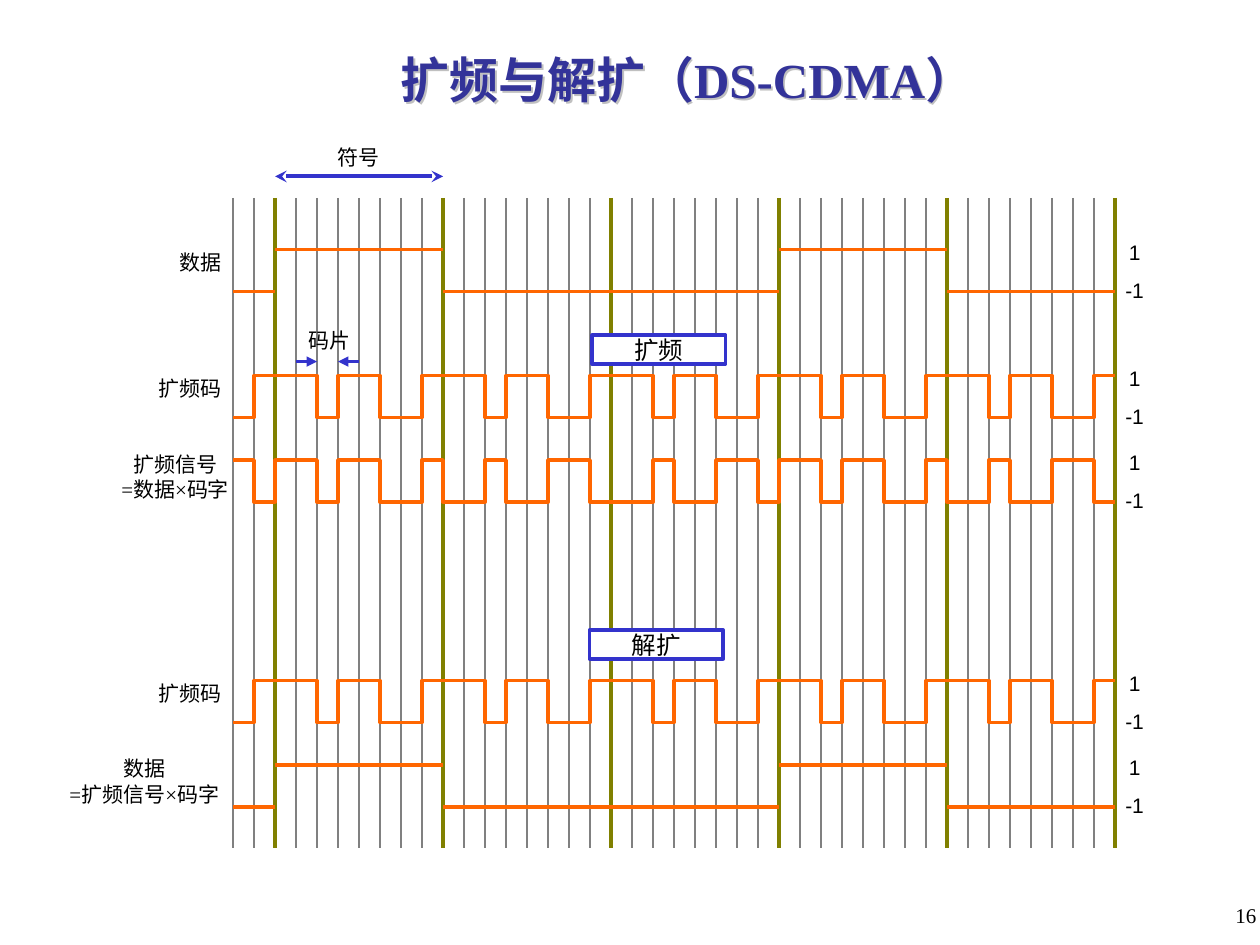
from dataclasses import dataclass
from itertools import groupby

import pptx
import pptx.dml.color
import pptx.enum.shapes
import pptx.enum.text
import pptx.oxml
import pptx.oxml.ns
import pptx.util
from pptx.util import Inches


@dataclass(frozen=True)
class Theme:
    title: str = "333399"
    title_shadow: str = "C0C0C0"
    accent: str = "3333CC"
    wave: str = "FF6600"
    chip_line: str = "808080"
    symbol_line: str = "808000"
    ink: str = "000000"
    paper: str = "FFFFFF"
    serif: str = "Times New Roman"
    sans: str = "Arial"
    title_size: float = 28
    box_size: float = 14
    label_size: float = 12


THEME = Theme()

# Time grid: eight chips per symbol, starting two chips before a boundary
LEFT, TOP, BOTTOM = 1.85, 1.57, 6.73
CHIP = 1 / 6
SWING = 1 / 3
LEAD = 2
CODE = [1, 1, -1, 1, 1, -1, -1, 1]
SYMBOLS = [-1, 1, -1, -1, 1, -1]

DATA_CHIPS = [bit for bit in SYMBOLS for _ in CODE][len(CODE) - LEAD:]
CODE_CHIPS = (CODE * len(SYMBOLS))[len(CODE) - LEAD:]
SPREAD_CHIPS = [bit * chip for bit, chip in zip(DATA_CHIPS, CODE_CHIPS)]

# Signal rows: high level, chips, edges drawn, caption lines, caption box
ROWS = [
    (1.98, DATA_CHIPS, False, ["数据"], (1.41, 1.98, 0.37, 0.2)),
    (2.98, CODE_CHIPS, True, ["扩频码"], (1.24, 2.98, 0.54, 0.2)),
    (3.65, SPREAD_CHIPS, True, ["扩频信号", "=数据×码字"], (0.88, 3.58, 1.02, 0.4)),
    (5.4, CODE_CHIPS, True, ["扩频码"], (1.24, 5.4, 0.54, 0.2)),
    (6.07, DATA_CHIPS, False, ["数据", "=扩频信号×码字"], (0.47, 6, 1.35, 0.4)),
]


def rgb(value):
    return pptx.dml.color.RGBColor.from_string(value)


def chip_x(index):
    return LEFT + index * CHIP


def drawing_element(tag, attributes="", content=""):
    return pptx.oxml.parse_xml(
        f'<{tag} {pptx.oxml.ns.nsdecls("a")} {attributes}>{content}</{tag}>')


def style_paragraph(para, size, color=THEME.ink, font=THEME.serif,
                    align=pptx.enum.text.PP_ALIGN.CENTER, bold=False):
    para.alignment = align
    para.font.size = pptx.util.Pt(size)
    para.font.name = font
    para.font.bold = bold
    para.font.color.rgb = rgb(color)


def add_line(slide, start, end, color, width, head=None, tail=None):
    line = slide.shapes.add_connector(
        pptx.enum.shapes.MSO_CONNECTOR.STRAIGHT,
        *(Inches(value) for value in (*start, *end)))
    line.line.color.rgb = rgb(color)
    line.line.width = pptx.util.Pt(width)
    outline = line._element.spPr.find(pptx.oxml.ns.qn("a:ln"))
    for tag, arrow in (("a:headEnd", head), ("a:tailEnd", tail)):
        if arrow:
            outline.append(drawing_element(tag, f'type="{arrow}"'))
    line._element.spPr.append(drawing_element("a:effectLst"))


def add_label(slide, place, lines, font=THEME.serif):
    box = slide.shapes.add_textbox(*(Inches(value) for value in place))
    frame = box.text_frame
    frame.margin_left = frame.margin_right = 0
    frame.margin_top = frame.margin_bottom = 0
    frame.word_wrap = False
    frame.auto_size = pptx.enum.text.MSO_AUTO_SIZE.SHAPE_TO_FIT_TEXT
    frame.vertical_anchor = pptx.enum.text.MSO_ANCHOR.MIDDLE
    frame.text = "\n".join(lines)
    for para in frame.paragraphs:
        style_paragraph(para, THEME.label_size, font=font)


def add_stage_box(slide, left, top, text):
    box = slide.shapes.add_shape(
        pptx.enum.shapes.MSO_SHAPE.RECTANGLE,
        Inches(left), Inches(top), Inches(1.06), Inches(0.23))
    box.shadow.inherit = False
    box.fill.solid()
    box.fill.fore_color.rgb = rgb(THEME.paper)
    box.line.color.rgb = rgb(THEME.accent)
    box.line.width = pptx.util.Pt(2)
    frame = box.text_frame
    frame.margin_top = frame.margin_bottom = 0
    frame.vertical_anchor = pptx.enum.text.MSO_ANCHOR.MIDDLE
    frame.text = text
    style_paragraph(frame.paragraphs[0], THEME.box_size)


def level_runs(top, chips):
    """Yield start x, end x and y for each stretch of equal chips."""
    position = 0
    for level, group in groupby(chips):
        end = position + len(list(group))
        yield chip_x(position), chip_x(end), top if level > 0 else top + SWING
        position = end


def add_levels(slide, top, chips):
    for start, end, y in level_runs(top, chips):
        add_line(slide, (start, y), (end, y), THEME.wave, 2)


def add_square_wave(slide, top, chips):
    points = [(Inches(x), Inches(y)) for start, end, y in level_runs(top, chips)
              for x in (start, end)]
    builder = slide.shapes.build_freeform(*points[0])
    builder.add_line_segments(points[1:], close=False)
    wave = builder.convert_to_shape()
    wave.shadow.inherit = False
    wave.fill.background()
    wave.line.color.rgb = rgb(THEME.wave)
    wave.line.width = pptx.util.Pt(2)


def add_title(slide, text):
    title = slide.shapes.title
    title.left, title.top = Inches(1.58), Inches(0.25)
    title.width, title.height = Inches(7.75), Inches(0.75)
    title.text_frame.vertical_anchor = pptx.enum.text.MSO_ANCHOR.MIDDLE
    title.text_frame.text = text
    style_paragraph(title.text_frame.paragraphs[0], THEME.title_size,
                    THEME.title, bold=True)
    # Without a fill, the shadow falls from the letters
    title.fill.background()
    title._element.spPr.append(drawing_element(
        "a:effectLst", content='<a:outerShdw dist="17961" dir="2700000">'
        f'<a:srgbClr val="{THEME.title_shadow}"/></a:outerShdw>'))


def add_page_number(slide, text):
    box = slide.shapes.add_textbox(
        Inches(7.99), Inches(7.11), Inches(2.08), Inches(0.39))
    box.text_frame.word_wrap = True
    box.text_frame.text = text
    style_paragraph(box.text_frame.paragraphs[0], THEME.label_size,
                    align=pptx.enum.text.PP_ALIGN.RIGHT)


def add_time_grid(slide):
    for index in range(len(DATA_CHIPS) + 1):
        boundary = index % len(CODE) == LEAD
        color, width = ((THEME.symbol_line, 2) if boundary
                        else (THEME.chip_line, 0.75))
        x = chip_x(index)
        add_line(slide, (x, TOP), (x, BOTTOM), color, width)


def main():
    deck = pptx.Presentation()
    deck.slide_width, deck.slide_height = Inches(10), Inches(7.5)
    slide = deck.slides.add_slide(deck.slide_layouts[5])
    add_title(slide, "扩频与解扩（DS-CDMA）")
    add_time_grid(slide)

    # Signals with captions and level marks
    for top, chips, has_edges, caption, place in ROWS:
        draw = add_square_wave if has_edges else add_levels
        draw(slide, top, chips)
        add_label(slide, place, caption)
        add_label(slide, (8.95, top - 0.08, 0.11, 0.2), ["1"], THEME.sans)
        add_label(slide, (8.92, top + 0.22, 0.17, 0.2), ["-1"], THEME.sans)

    # Processing stages
    add_stage_box(slide, 4.7, 2.66, "扩频")
    add_stage_box(slide, 4.68, 5, "解扩")

    # Symbol and chip durations
    add_label(slide, (2.66, 1.15, 0.37, 0.2), ["符号"])
    add_line(slide, (chip_x(2), 1.4), (chip_x(10), 1.4), THEME.accent, 2.25,
             head="stealth", tail="stealth")
    add_label(slide, (2.43, 2.6, 0.37, 0.2), ["码片"])
    for start, end in ((3, 4), (6, 5)):
        add_line(slide, (chip_x(start), 2.87), (chip_x(end), 2.87),
                 THEME.accent, 1.5, tail="triangle")

    add_page_number(slide, "16")
    deck.save("out.pptx")


if __name__ == "__main__":
    main()
